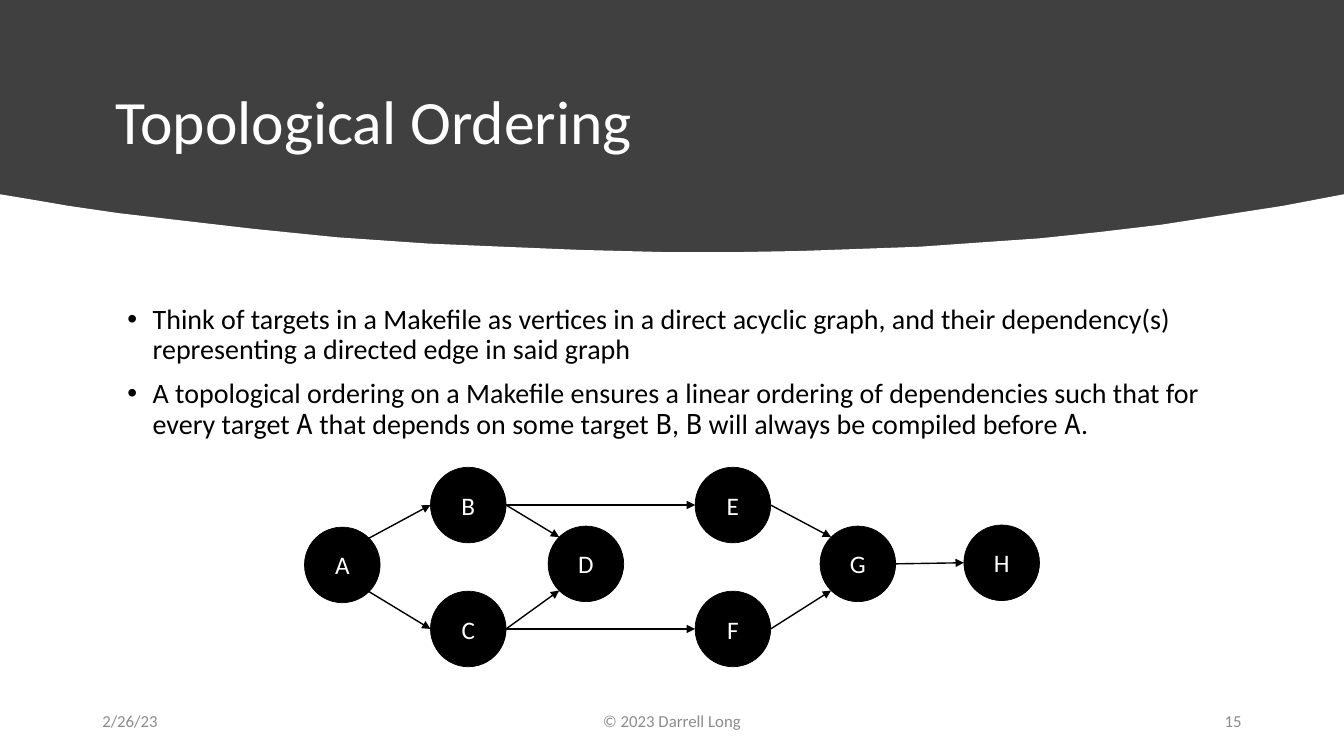
from math import cos, radians, sin

from lxml import etree
from pptx import Presentation
from pptx.dml.color import RGBColor
from pptx.enum.shapes import MSO_CONNECTOR, MSO_SHAPE
from pptx.enum.text import MSO_ANCHOR, PP_ALIGN
from pptx.oxml.ns import qn
from pptx.util import Emu, Pt

LEFT, CENTER, RIGHT = PP_ALIGN.LEFT, PP_ALIGN.CENTER, PP_ALIGN.RIGHT
TOP, MIDDLE = MSO_ANCHOR.TOP, MSO_ANCHOR.MIDDLE
RECTANGLE, OVAL = MSO_SHAPE.RECTANGLE, MSO_SHAPE.OVAL
STRAIGHT = MSO_CONNECTOR.STRAIGHT

# Content; text between backquotes is set in the code font
TITLE = "Topological Ordering"
BULLETS = [
    "Think of targets in a Makefile as vertices in a direct acyclic graph, "
    "and their dependency(s) representing a directed edge in said graph",
    "A topological ordering on a Makefile ensures a linear ordering of "
    "dependencies such that for every target `A` that depends on some target "
    "`B`, `B` will always be compiled before `A`.",
]
FOOTER = [  # text, left, width, alignment
    ("2/26/23", 88, 288, LEFT),
    ("© 2023 Darrell Long", 424, 432, CENTER),
    ("15", 904, 288, RIGHT),
]
VERTICES = {  # left, top
    "A": (290, 502), "B": (410, 445), "C": (410, 563), "D": (522, 501),
    "E": (662, 445), "F": (662, 563), "G": (781, 501), "H": (918, 500),
}
EDGES = [  # source, side it leaves, target, side it enters
    ("A", "NE", "B", "W"), ("A", "SE", "C", "W"),
    ("C", "E", "D", "SW"), ("B", "E", "D", "NW"),
    ("B", "E", "E", "W"), ("C", "E", "F", "W"),
    ("F", "E", "G", "SW"), ("E", "E", "G", "NW"),
    ("G", "E", "H", "W"),
]

# Geometry in px
PX = 9525
WIDTH, HEIGHT = 1280, 720
TITLE_BOX = (101, 52, 1078, 134)
BODY_BOX = (112, 286, 1056, 157)
FOOTER_TOP, FOOTER_HEIGHT = 667, 38
BULLET_INDENT = 24
DIAMETER = 72
SIDE_ANGLES = {"E": 0, "SE": 45, "SW": 135, "W": 180, "NW": 225, "NE": 315}
BANNER_CURVE = [
    (0, 185), (30, 190), (65, 196), (113, 203), (173, 210), (242, 218),
    (321, 226), (408, 232), (479, 235), (552, 238), (630, 240), (709, 240),
    (764, 239), (820, 237), (876, 235), (932, 231), (990, 227), (1047, 221),
    (1106, 214), (1164, 205), (1222, 196), (1280, 185),
]


class Theme:
    banner = RGBColor(0x40, 0x40, 0x40)
    paper = RGBColor(0xFF, 0xFF, 0xFF)
    ink = RGBColor(0, 0, 0)
    footer = RGBColor(0x8C, 0x8C, 0x8C)
    font, code_font = "Calibri", "Noto Sans Mono"
    title_size, body_size, vertex_size, footer_size = 44, 20, 18, 12
    outline, edge = 0.5, 1


def px(*lengths):
    return [Emu(round(length * PX)) for length in lengths]


def paint(shape, color):
    shape.shadow.inherit = False
    shape.fill.solid()
    shape.fill.fore_color.rgb = color
    shape.line.fill.background()


def write(paragraph, text, size, color, align=LEFT):
    paragraph.alignment = align
    for position, part in enumerate(text.split("`")):
        run = paragraph.add_run()
        run.text = part
        run.font.name = Theme.code_font if position % 2 else Theme.font
        run.font.size = Pt(size)
        run.font.color.rgb = color


def add_frame(slide, box, anchor):
    frame = slide.shapes.add_textbox(*px(*box)).text_frame
    frame.word_wrap = True
    frame.vertical_anchor = anchor
    return frame


def add_banner(slide):
    backdrop = slide.shapes.add_shape(RECTANGLE, *px(0, 0, WIDTH, HEIGHT))
    paint(backdrop, Theme.banner)
    outline = slide.shapes.build_freeform(*BANNER_CURVE[0], scale=PX)
    outline.add_line_segments(BANNER_CURVE[1:] + [(WIDTH, HEIGHT), (0, HEIGHT)])
    paint(outline.convert_to_shape(), Theme.paper)

    title = add_frame(slide, TITLE_BOX, MIDDLE).paragraphs[0]
    title.line_spacing = 0.9
    write(title, TITLE, Theme.title_size, Theme.paper)


def add_bullets(slide):
    frame = add_frame(slide, BODY_BOX, TOP)
    for number, text in enumerate(BULLETS):
        paragraph = frame.add_paragraph() if number else frame.paragraphs[0]
        paragraph.line_spacing = 0.9
        paragraph.space_before = Pt(10 if number else 0)
        properties = paragraph._p.get_or_add_pPr()
        properties.set("marL", str(BULLET_INDENT * PX))
        properties.set("indent", str(-BULLET_INDENT * PX))
        etree.SubElement(properties, qn("a:buFont"), typeface="Arial")
        etree.SubElement(properties, qn("a:buChar"), char="•")
        write(paragraph, text, Theme.body_size, Theme.ink)


def add_footer(slide):
    for text, left, width, align in FOOTER:
        frame = add_frame(slide, (left, FOOTER_TOP, width, FOOTER_HEIGHT), MIDDLE)
        write(frame.paragraphs[0], text, Theme.footer_size, Theme.footer, align)


def rim_point(vertex, side):
    """Point on the circle of a vertex that faces the given side."""
    left, top = VERTICES[vertex]
    radius, angle = DIAMETER / 2, radians(SIDE_ANGLES[side])
    return left + radius * (1 + cos(angle)), top + radius * (1 + sin(angle))


def add_graph(slide):
    graph = slide.shapes.add_group_shape().shapes
    for name, corner in VERTICES.items():
        vertex = graph.add_shape(OVAL, *px(*corner, DIAMETER, DIAMETER))
        paint(vertex, Theme.ink)
        vertex.line.color.rgb = Theme.ink
        vertex.line.width = Pt(Theme.outline)
        vertex.text_frame.vertical_anchor = MIDDLE
        write(vertex.text_frame.paragraphs[0], name, Theme.vertex_size,
              Theme.paper, CENTER)

    for source, exit_side, target, entry_side in EDGES:
        ends = rim_point(source, exit_side) + rim_point(target, entry_side)
        edge = graph.add_connector(STRAIGHT, *px(*ends))
        edge.line.color.rgb = Theme.ink
        edge.line.width = Pt(Theme.edge)
        etree.SubElement(edge.line._get_or_add_ln(), qn("a:tailEnd"), type="triangle")
        etree.SubElement(edge._element.spPr, qn("a:effectLst"))


def main():
    deck = Presentation()
    deck.slide_width, deck.slide_height = px(WIDTH, HEIGHT)
    slide = deck.slides.add_slide(deck.slide_layouts[6])
    add_banner(slide)
    add_bullets(slide)
    add_footer(slide)
    add_graph(slide)
    deck.save("out.pptx")


if __name__ == "__main__":
    main()
